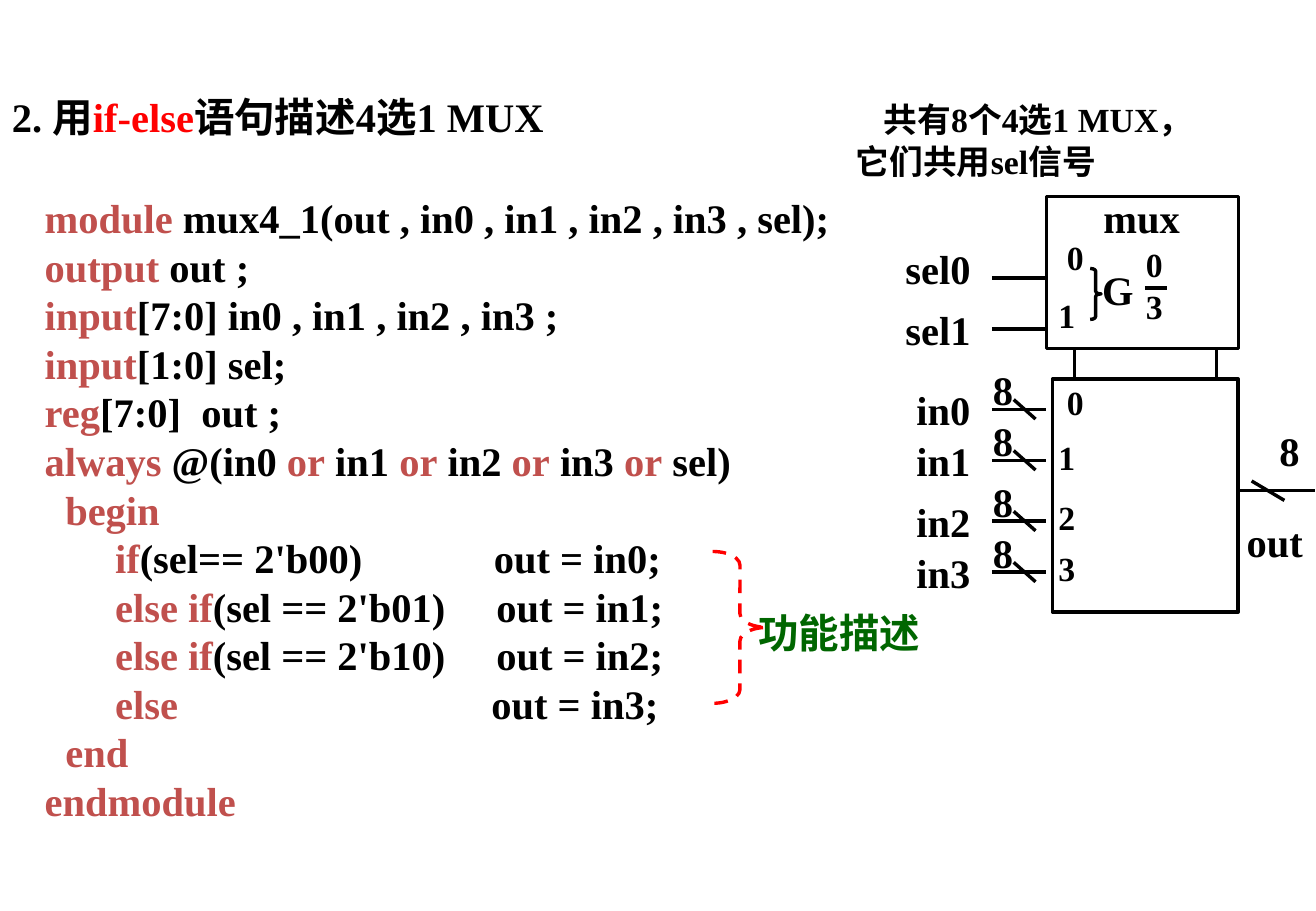
import pptx
import pptx.util
import pptx.dml.color
import pptx.enum.dml
import pptx.enum.shapes
import pptx.enum.text
import pptx.oxml.ns
import lxml.etree

PX = 9144  # 100 px to the inch
FONT = "Times New Roman"
BLACK, RED, KEYWORD, GREEN = "000000", "FF0000", "C0504D", "006600"
SHAPE = pptx.enum.shapes.MSO_SHAPE

# Each code line with its tab stops
CODE = [
    ("*module* mux4_1(out , in0 , in1 , in2 , in3 , sel);", ()),
    ("*output* out ;", ()),
    ("*input*[7:0] in0 , in1 , in2 , in3 ;", ()),
    ("*input*[1:0] sel;", ()),
    ("*reg*[7:0]\tout ;", (129,)),
    ("*always* @(in0 *or* in1 *or* in2 *or* in3 *or* sel)", ()),
    ("\t*begin*", (17,)),
    ("\t*if*(sel== 2'b00)\tout = in0;", (58, 370)),
    ("\t*else if*(sel == 2'b01)\tout = in1;", (58, 372)),
    ("\t*else if*(sel == 2'b10)\tout = in2;", (58, 372)),
    ("\t*else*\tout = in3;", (58, 368)),
    ("\t*end*", (17,)),
    ("*endmodule*", ()),
]


def rgb(value):
    return pptx.dml.color.RGBColor.from_string(value)


def add_child(parent, tag, **attrs):
    el = lxml.etree.SubElement(parent, pptx.oxml.ns.qn(tag))
    for key, value in attrs.items():
        el.set(key, str(value))
    return el


def write(p, text, size=24, color=BLACK, accent=None, accent_size=None, tabs=()):
    """Fill a paragraph; parts between asterisks take the accent format."""
    if tabs:
        tab_list = add_child(p._p.get_or_add_pPr(), "a:tabLst")
        for pos in tabs:
            add_child(tab_list, "a:tab", pos=pos * PX, algn="l")
    for i, part in enumerate(text.split("*")):
        if not part:
            continue
        marked = i % 2 == 1
        r = p.add_run()
        r.text = part
        r.font.name = FONT
        r.font.bold = True
        r.font.size = pptx.util.Pt(accent_size if marked and accent_size else size)
        r.font.color.rgb = rgb(accent if marked and accent else color)


class Canvas:
    def __init__(self, slide, line_color=BLACK, line_width=2):
        self.shapes = slide.shapes
        self.line_color = line_color
        self.line_width = line_width

    def stroke(self, line, color=None):
        line.color.rgb = rgb(color or self.line_color)
        line.width = pptx.util.Pt(self.line_width)

    def text(self, x, y, w, h, lines, wrap=True, **fmt):
        """Add a text box; lines is a string or a list of (text, tabs)."""
        sp = self.shapes.add_textbox(x * PX, y * PX, w * PX, h * PX)
        tf = sp.text_frame
        tf.word_wrap = wrap
        tf.auto_size = pptx.enum.text.MSO_AUTO_SIZE.SHAPE_TO_FIT_TEXT
        if isinstance(lines, str):
            lines = [(lines, ())]
        for i, (text, tabs) in enumerate(lines):
            p = tf.add_paragraph() if i else tf.paragraphs[0]
            write(p, text, tabs=tabs, **fmt)

    def digit(self, x, y, text, w=40):
        self.text(x, y, w, 44, text, size=20)

    def shape(self, kind, x, y, w, h, color=None):
        sp = self.shapes.add_shape(kind, x * PX, y * PX, w * PX, h * PX)
        sp.shadow.inherit = False
        sp.fill.background()
        self.stroke(sp.line, color)
        return sp

    def brace(self, x, y, w, h, color=None):
        sp = self.shape(SHAPE.RIGHT_BRACE, x, y, w, h, color)
        sp.adjustments[0] = 0.25
        return sp

    def line(self, x1, y1, x2, y2):
        cxn = self.shapes.add_connector(
            pptx.enum.shapes.MSO_CONNECTOR.STRAIGHT,
            x1 * PX, y1 * PX, x2 * PX, y2 * PX)
        self.stroke(cxn.line)
        add_child(cxn._element.spPr, "a:effectLst")


def draw_code(c):
    c.text(27, 154, 704, 530, CODE, accent=KEYWORD)
    c.text(0, 71, 515, 50, "2. 用*if-else*语句描述4选1 MUX", accent=RED)
    brace = c.brace(587, 454, 45, 125, RED)
    brace.line.dash_style = pptx.enum.dml.MSO_LINE.DASH
    c.text(615, 496, 153, 50, "功能描述", wrap=False, color=GREEN)
    hint = [("*\t*共有8个4选1 MUX，", (23,)), ("它们共用sel信号", ())]
    c.text(695, 71, 374, 84, hint, wrap=False, size=20, accent_size=24)


def draw_selector(c):
    c.shape(SHAPE.RECTANGLE, 862, 162, 158, 125)
    c.text(899, 154, 83, 50, "mux", wrap=False)
    for i, (wire_y, label_y) in enumerate([(229, 196), (271, 246)]):
        c.line(817, wire_y, 862, wire_y)
        c.text(736, label_y, 82, 50, f"sel{i}")
    c.digit(869, 190, "0")
    c.digit(862, 238, "1")
    c.brace(898, 221, 9, 42)
    c.text(898, 213, 48, 50, "G")
    c.digit(934, 196, "0", w=36)
    c.line(943, 237, 961, 237)
    c.digit(934, 230, "3", w=27)


def draw_data_block(c):
    c.shape(SHAPE.RECTANGLE, 867, 312, 153, 192)
    c.shape(SHAPE.RECTANGLE, 885, 287, 117, 25)
    for i, y in enumerate([337, 379, 429, 471]):
        c.line(817, y, 862, y)
        c.line(835, y - 8, 853, y + 8)
        c.text(808, y - 41, 40, 50, "8")
        c.text(745, y - 25, 72, 50, f"in{i}")
    c.digit(869, 309, "0")
    for i, y in enumerate([355, 404, 446], 1):
        c.digit(862, y, str(i))
    c.line(1020, 404, 1083, 404)
    c.line(1031, 396, 1058, 412)
    c.text(1044, 346, 40, 50, "8")
    c.text(1017, 421, 66, 50, "out", wrap=False)


def main():
    prs = pptx.Presentation()
    prs.slide_width = 1084 * PX
    prs.slide_height = 750 * PX
    c = Canvas(prs.slides.add_slide(prs.slide_layouts[6]))
    draw_code(c)
    draw_selector(c)
    draw_data_block(c)
    prs.save("out.pptx")


if __name__ == "__main__":
    main()
